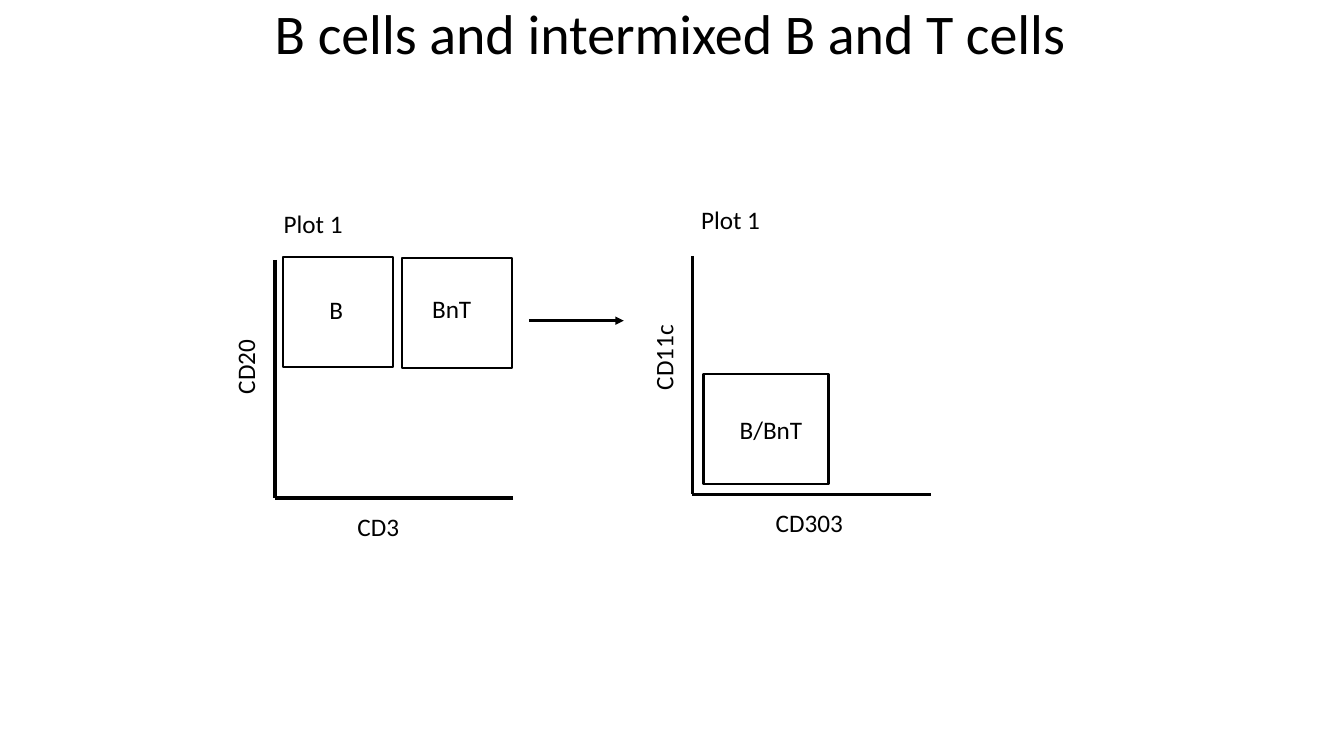
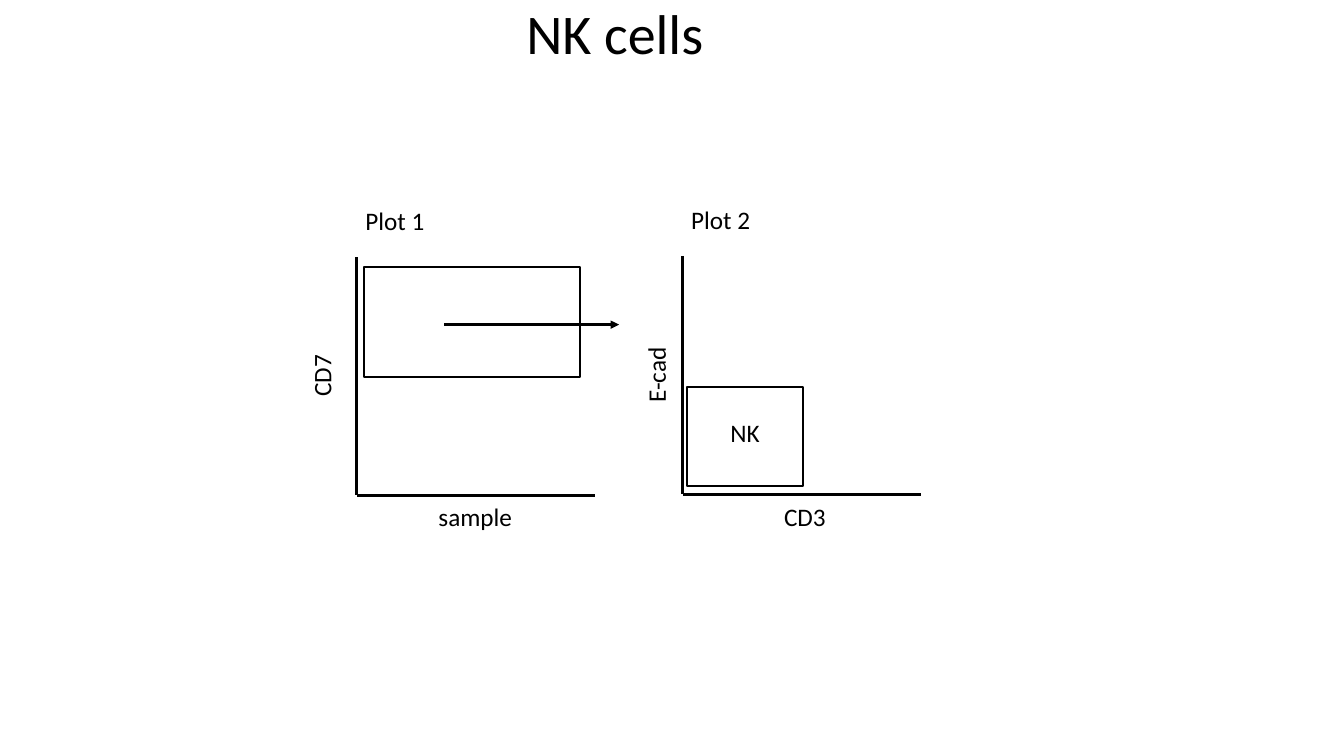
from lxml.etree import SubElement
from pptx import Presentation
from pptx.dml.color import RGBColor
from pptx.enum.shapes import MSO_CONNECTOR as Connector, MSO_SHAPE as Shape
from pptx.enum.text import MSO_ANCHOR as Anchor, MSO_AUTO_SIZE as AutoSize, PP_ALIGN as Align
from pptx.oxml.ns import qn
from pptx.util import Cm, Pt


def color(value):
    return RGBColor.from_string(value)


class GatingDeck:
    """Draws gating plots in one style on the current slide."""

    INK = "000000"
    FONT = "Calibri"
    SIDE = 6
    LABEL_HEIGHT = 1.03

    def __init__(self):
        self.deck = Presentation()
        self.deck.slide_width = Cm(33.87)
        self.deck.slide_height = Cm(19.05)
        self.shapes = None

    def text(self, words, left, top, width, height, size):
        box = self.shapes.add_textbox(Cm(left), Cm(top), Cm(width), Cm(height))
        para = box.text_frame.paragraphs[0]
        para.text = words
        font = para.runs[0].font
        font.name = self.FONT
        font.size = Pt(size)
        font.color.rgb = color(self.INK)
        return box

    def page(self, title, left, width):
        self.shapes = self.deck.slides.add_slide(self.deck.slide_layouts[6]).shapes
        frame = self.text(title, left, 0.15, width, 1.52, 40).text_frame
        frame.word_wrap = True
        frame.auto_size = AutoSize.NONE
        frame.vertical_anchor = Anchor.MIDDLE
        frame.paragraphs[0].alignment = Align.CENTER
        frame.paragraphs[0].line_spacing = 0.9

    def label(self, words, left, top, width, wrap=False):
        box = self.text(words, left, top, width, self.LABEL_HEIGHT, 18)
        box.text_frame.word_wrap = wrap
        box.text_frame.auto_size = AutoSize.SHAPE_TO_FIT_TEXT
        return box

    def line(self, start, end, weight=2.25):
        line = self.shapes.add_connector(
            Connector.STRAIGHT, *(Cm(value) for value in (*start, *end)))
        line.line.color.rgb = color(self.INK)
        line.line.width = Pt(weight)
        SubElement(line._element.spPr, qn("a:effectLst"))
        return line

    def arrow(self, left, right, height):
        line = self.line((left, height), (right, height), 2)
        SubElement(line.line._get_or_add_ln(), qn("a:tailEnd"), type="triangle")

    def plot(self, title, left, top, x_name, y_name):
        corner = (left, top + self.SIDE)
        self.line((left, top), corner)
        self.line((left + self.SIDE, top + self.SIDE), corner)
        self.label(title, left - 0.03, top - 1.42, 2)
        self.label(*x_name)
        self.label(*y_name).rotation = 270

    def gate(self, left, top, width, height=2.77):
        box = self.shapes.add_shape(
            Shape.RECTANGLE, Cm(left), Cm(top), Cm(width), Cm(height))
        box.shadow.inherit = False
        box.fill.background()
        box.line.color.rgb = color(self.INK)
        box.line.width = Pt(1.5)


def main():
    draw = GatingDeck()

    draw.page("B cells and intermixed B and T cells", 5.66, 22.45)
    draw.plot("Plot 1", 6.93, 6.55,
              ("CD3", 8.76, 12.75, 1.57), ("CD20", 5.03, 8.51, 2.31, True))
    draw.gate(7.14, 6.48, 2.77)
    draw.label("B", 8.05, 7.29, 0.86)
    draw.gate(10.13, 6.5, 2.77)
    draw.label("BnT", 10.64, 7.26, 1.5)
    draw.plot("Plot 1", 17.45, 6.45,
              ("CD303", 19.3, 12.67, 2.24), ("CD11c", 15.57, 8.41, 2.31, True))
    draw.gate(17.73, 9.42, 3.15)
    draw.label("B/BnT", 18.39, 10.31, 2.11)
    draw.arrow(13.33, 15.72, 8.08)

    draw.page("NK cells", 8.84, 13.31)
    draw.plot("Plot 1", 8.99, 6.48,
              ("sample", 10.8, 12.52, 2.39), ("CD7", 7.32, 8.94, 1.57))
    draw.gate(9.17, 6.73, 5.44)
    draw.plot("Plot 2", 17.2, 6.45,
              ("CD3", 19.51, 12.52, 1.57), ("E-cad", 15.57, 8.92, 1.93))
    draw.gate(17.32, 9.75, 2.92, 2.49)
    draw.label("NK", 18.16, 10.39, 1.27)
    draw.arrow(11.2, 15.6, 8.18)

    draw.deck.save("out.pptx")


if __name__ == "__main__":
    main()
